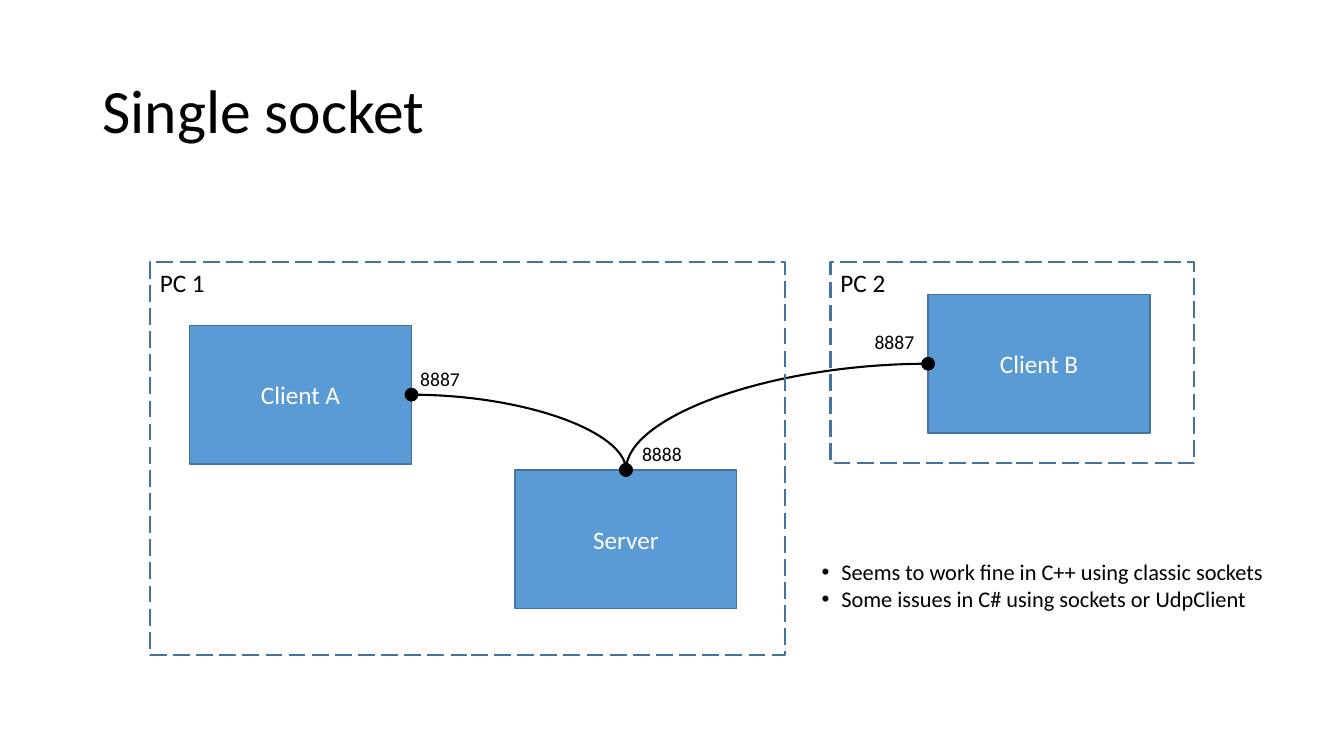
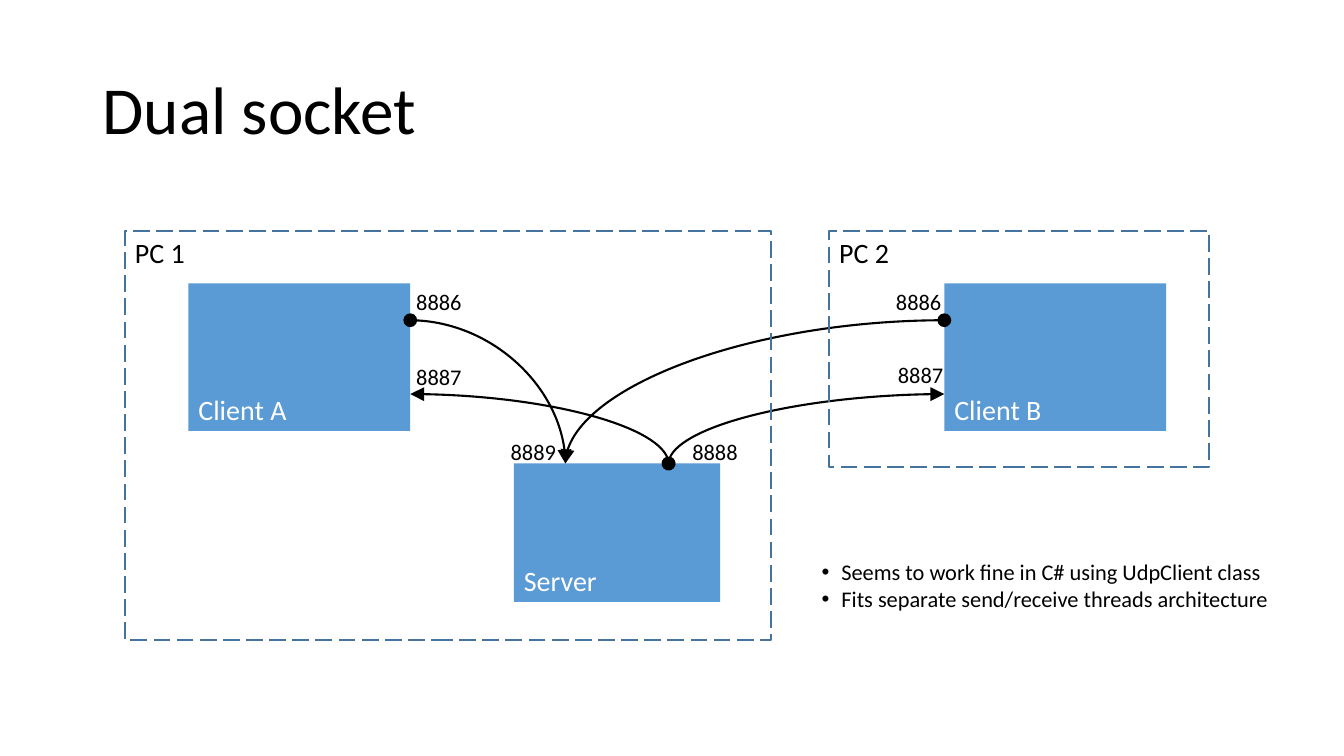
from dataclasses import dataclass
from typing import Optional

from lxml.etree import SubElement
from pptx import Presentation
from pptx.dml.color import RGBColor
from pptx.enum.dml import MSO_LINE
from pptx.enum.shapes import MSO_CONNECTOR, MSO_SHAPE
from pptx.enum.text import MSO_ANCHOR, MSO_AUTO_SIZE, PP_ALIGN
from pptx.oxml.ns import qn
from pptx.util import Cm, Pt

COLORS = {"box": "5B9BD5", "edge": "43739E", "ink": "000000", "paper": "FFFFFF"}
FONT = "Calibri"
TOP, LEFT, RIGHT = 0, 1, 3


@dataclass
class Box:
    key: str
    x: float
    y: float
    w: float
    h: float
    text: str = ""


@dataclass
class Label:
    text: str
    x: float
    y: float


@dataclass
class Wire:
    client: str
    side: int
    server: str
    client_end: str = "oval"
    server_end: str = "oval"


@dataclass
class Style:
    title: int
    name: int
    port: int
    align: PP_ALIGN
    anchor: MSO_ANCHOR
    edge: Optional[str]


@dataclass
class Diagram:
    title: str
    style: Style
    nodes: list[list[Box]]
    wires: list[Wire]
    labels: list[Label]
    frames: list[Box]
    points: list[str]
    list_width: float


def rgb(name: str) -> RGBColor:
    return RGBColor.from_string(COLORS[name])


def place(sp, x: float, y: float, w: float, h: float) -> None:
    sp.left, sp.top, sp.width, sp.height = Cm(x), Cm(y), Cm(w), Cm(h)


def write(p, text: str, *, size: int, color: str = "ink", align=PP_ALIGN.LEFT,
          spacing: float = 1.0) -> None:
    p.alignment, p.line_spacing = align, spacing
    p.space_before = Pt(0)
    r = p.add_run()
    r.text = text
    r.font.name, r.font.size = FONT, Pt(size)
    r.font.color.rgb = rgb(color)


def fit_text(tf) -> None:
    tf.word_wrap = False
    tf.auto_size = MSO_AUTO_SIZE.SHAPE_TO_FIT_TEXT


def add_rect(shapes, box: Box, fill: Optional[str], edge: Optional[str], width: float):
    sp = shapes.add_shape(MSO_SHAPE.RECTANGLE, Cm(box.x), Cm(box.y), Cm(box.w), Cm(box.h))
    sp.shadow.inherit = False
    if fill:
        sp.fill.solid()
        sp.fill.fore_color.rgb = rgb(fill)
    else:
        sp.fill.background()
    if edge:
        sp.line.color.rgb = rgb(edge)
        sp.line.width = Pt(width)
    else:
        sp.line.fill.background()
    return sp


def add_node(s, boxes: list[Box], style: Style) -> dict:
    shapes = s.shapes.add_group_shape().shapes if len(boxes) > 1 else s.shapes
    parts = {}
    for box in boxes:
        sp = add_rect(shapes, box, "box", style.edge, 1)
        sp.text_frame.vertical_anchor = style.anchor
        if box.text:
            write(sp.text_frame.paragraphs[0], box.text, size=style.name,
                  color="paper", align=style.align)
        parts[box.key] = sp
    return parts


def add_frame(s, box: Box, size: int) -> None:
    sp = add_rect(s.shapes, box, None, "edge", 1.5)
    sp.line.dash_style = MSO_LINE.LONG_DASH
    sp.text_frame.vertical_anchor = MSO_ANCHOR.TOP
    write(sp.text_frame.paragraphs[0], box.text, size=size)


def add_wire(s, wire: Wire, parts: dict) -> None:
    cxn = s.shapes.add_connector(MSO_CONNECTOR.CURVE, 0, 0, 0, 0)
    cxn.begin_connect(parts[wire.client], wire.side)
    cxn.end_connect(parts[wire.server], TOP)
    cxn.line.color.rgb = rgb("ink")
    cxn.line.width = Pt(1.5)
    sp_pr = cxn._element.spPr
    sp_pr.find(qn("a:prstGeom")).set("prst", "curvedConnector2")
    ln = sp_pr.find(qn("a:ln"))
    for tag, end in (("a:headEnd", wire.client_end), ("a:tailEnd", wire.server_end)):
        SubElement(ln, qn(tag), type=end, w="lg", len="lg")
    SubElement(sp_pr, qn("a:effectLst"))


def add_label(s, label: Label, size: int) -> None:
    width = size * 0.07 + 0.58
    sp = s.shapes.add_textbox(Cm(label.x), Cm(label.y), Cm(width), Cm(size * 0.06))
    fit_text(sp.text_frame)
    write(sp.text_frame.paragraphs[0], label.text, size=size)


def fill_title(s, text: str, size: int) -> None:
    sp = s.shapes.title
    place(sp, 2.33, 1.01, 29.21, 3.68)
    sp.text_frame.vertical_anchor = MSO_ANCHOR.MIDDLE
    sp.text_frame.auto_size = MSO_AUTO_SIZE.NONE
    write(sp.text_frame.paragraphs[0], text, size=size, spacing=0.9)


def fill_list(s, points: list[str], width: float) -> None:
    sp = s.placeholders[1]
    place(sp, 20.45, 13.94, width, 1.63)
    tf = sp.text_frame
    fit_text(tf)
    for i, point in enumerate(points):
        p = tf.add_paragraph() if i else tf.paragraphs[0]
        write(p, point, size=16)
        p_pr = p._p.get_or_add_pPr()
        p_pr.set("marL", str(Cm(0.5)))
        p_pr.set("indent", str(-Cm(0.5)))
        SubElement(p_pr, qn("a:buFont"), typeface="Arial")
        SubElement(p_pr, qn("a:buChar"), char="•")


def build(prs, d: Diagram) -> None:
    s = prs.slides.add_slide(prs.slide_layouts[1])
    fill_title(s, d.title, d.style.title)
    fill_list(s, d.points, d.list_width)
    parts = {}
    for boxes in d.nodes:
        parts.update(add_node(s, boxes, d.style))
    for wire in d.wires:
        add_wire(s, wire, parts)
    for label in d.labels:
        add_label(s, label, d.style.port)
    for frame in d.frames:
        add_frame(s, frame, d.style.name)


def split_client(key: str, x: float, text: str) -> list[Box]:
    w, h, top = 5.59, 1.86, 7.14
    return [Box(f"{key} in", x, top + h, w, h, text), Box(f"{key} out", x, top, w, h)]


SINGLE = Diagram(
    title="Single socket",
    style=Style(44, 18, 14, PP_ALIGN.CENTER, MSO_ANCHOR.MIDDLE, "edge"),
    nodes=[
        [Box("A", 4.78, 8.2, 5.59, 3.49, "Client A")],
        [Box("server", 12.98, 11.84, 5.59, 3.49, "Server")],
        [Box("B", 23.39, 7.42, 5.59, 3.49, "Client B")],
    ],
    wires=[Wire("A", RIGHT, "server"), Wire("B", LEFT, "server")],
    labels=[Label("8887", 10.34, 9.12), Label("8887", 21.79, 8.2), Label("8888", 15.93, 11.02)],
    frames=[Box("pc1", 3.78, 6.6, 16, 9.91, "PC 1"), Box("pc2", 20.93, 6.6, 9.17, 5.08, "PC 2")],
    points=["Seems to work fine in C++ using classic sockets",
            "Some issues in C# using sockets or UdpClient"],
    list_width=11.79,
)

DUAL = Diagram(
    title="Dual socket",
    style=Style(48, 20, 16, PP_ALIGN.LEFT, MSO_ANCHOR.BOTTOM, None),
    nodes=[
        [Box("server in", 12.95, 11.68, 2.6, 3.49, "Server"),
         Box("server out", 15.55, 11.68, 2.6, 3.49)],
        split_client("B", 23.8, "Client B"),
        split_client("A", 4.75, "Client A"),
    ],
    wires=[wire for key, side in (("A", RIGHT), ("B", LEFT)) for wire in (
        Wire(f"{key} out", side, "server in", server_end="triangle"),
        Wire(f"{key} in", side, "server out", client_end="triangle"))],
    labels=[
        Label("8886", 10.24, 7.14), Label("8887", 10.24, 9.02),
        Label("8886", 22.33, 7.14), Label("8887", 22.38, 8.97),
        Label("8889", 12.62, 10.92), Label("8888", 17.2, 10.92),
    ],
    frames=[Box("pc1", 3.15, 5.82, 16.28, 10.31, "PC 1"),
            Box("pc2", 20.9, 5.82, 9.58, 5.94, "PC 2")],
    points=["Seems to work fine in C# using UdpClient class",
            "Fits separate send/receive threads architecture"],
    list_width=12.19,
)

prs = Presentation()
prs.slide_width, prs.slide_height = Cm(33.87), Cm(19.05)
for diagram in (SINGLE, DUAL):
    build(prs, diagram)
prs.save("out.pptx")
